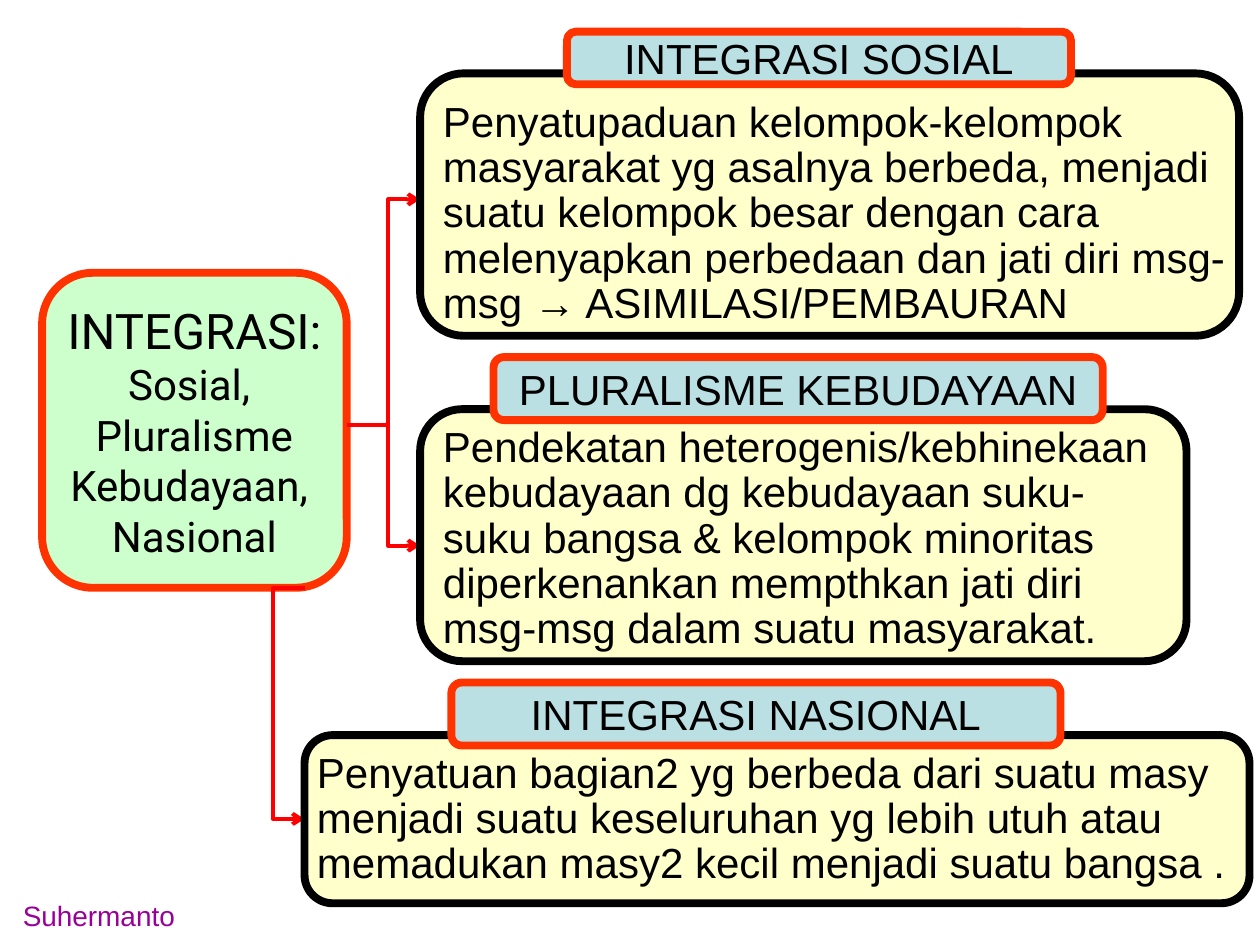
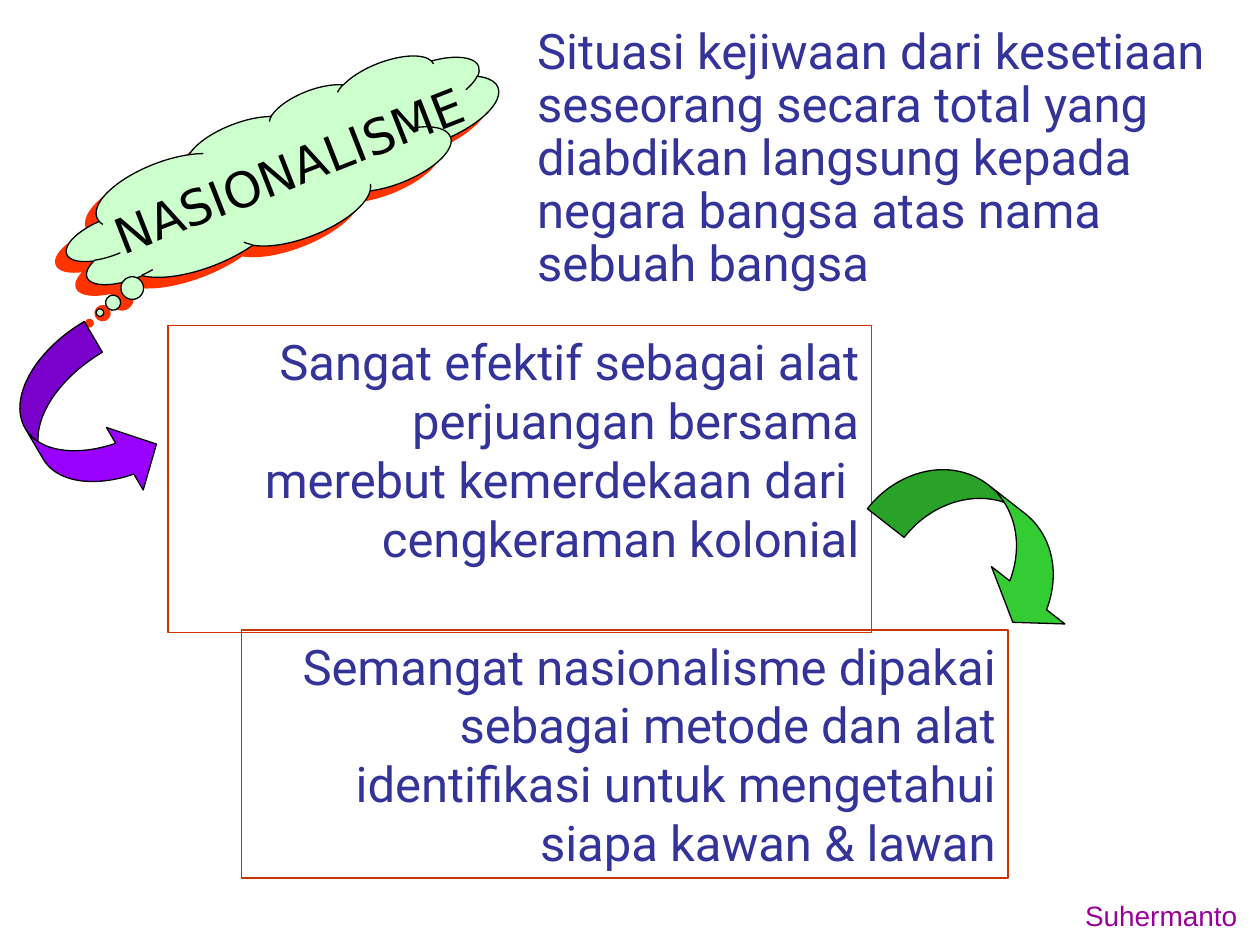
from lxml.etree import SubElement
from pptx import Presentation
from pptx.dml.color import RGBColor
from pptx.enum.shapes import MSO_CONNECTOR as Connector, MSO_SHAPE as Shape
from pptx.enum.text import MSO_ANCHOR as Anchor, PP_ALIGN as Align
from pptx.oxml.ns import qn
from pptx.util import Cm, Pt

COLORS = {
    "black": "000000", "mint": "CCFFCC", "orange": "FF3300", "red": "FF0000",
    "cream": "FFFFCC", "ice": "BBE0E3", "navy": "333399", "rust": "CC3300",
    "purple": "9900FF", "green": "33CC33", "author": "990099",
}


def color(name):
    return RGBColor.from_string(COLORS[name])


def write(shape, lines, sizes, font="Arial", ink="black", align=Align.LEFT,
          anchor=Anchor.TOP, wrap=True, spacing=None):
    frame = shape.text_frame
    frame.word_wrap = wrap
    frame.vertical_anchor = anchor
    frame.text = "\n".join(lines)
    for paragraph, size in zip(frame.paragraphs, sizes):
        paragraph.alignment = align
        paragraph.line_spacing = spacing
        paragraph.font.name = font
        paragraph.font.size = Pt(size)
        paragraph.font.color.rgb = color(ink)


def add_text(slide, box, text, size, **style):
    shape = slide.shapes.add_textbox(*map(Cm, box))
    write(shape, [text], [size], **style)
    return shape


def add_box(slide, kind, box, fill, line, width, adjustments=(), rotation=0):
    shape = slide.shapes.add_shape(kind, *map(Cm, box))
    shape.shadow.inherit = False
    shape.rotation = rotation
    for index, value in enumerate(adjustments):
        shape.adjustments[index] = value
    if fill:
        shape.fill.solid()
        shape.fill.fore_color.rgb = color(fill)
    else:
        shape.fill.background()
    shape.line.color.rgb = color(line)
    shape.line.width = Pt(width)
    return shape


def style_arrow_line(shape):
    shape.line.color.rgb = color("red")
    shape.line.width = Pt(2.25)


def add_bracket(slide, right, left, top, bottom, ends):
    builder = slide.shapes.build_freeform(Cm(right), Cm(top))
    corners = [(left, top), (left, bottom), (right, bottom)]
    builder.add_line_segments([(Cm(x), Cm(y)) for x, y in corners], close=False)
    shape = builder.convert_to_shape()
    shape.shadow.inherit = False
    shape.fill.background()
    style_arrow_line(shape)
    for end in ends:
        SubElement(shape.line._get_or_add_ln(), qn(f"a:{end}"), type="arrow")


def add_stem(slide, left, right, y):
    stem = slide.shapes.add_connector(Connector.STRAIGHT, Cm(left), Cm(y), Cm(right), Cm(y))
    style_arrow_line(stem)
    SubElement(stem._element.spPr, qn("a:effectLst"))


def add_definition(slide, body_box, title_box, text_box, title, text):
    add_box(slide, Shape.ROUNDED_RECTANGLE, body_box, "cream", "black", 4.5)
    heading = add_box(slide, Shape.ROUNDED_RECTANGLE, title_box, "ice", "orange", 4.5)
    write(heading, [title], [24], align=Align.CENTER, anchor=Anchor.MIDDLE, wrap=False)
    add_text(slide, text_box, text, 24, spacing=0.9)


def add_framed_text(slide, box, text):
    frame = add_box(slide, Shape.RECTANGLE, box, None, "rust", 0.75)
    write(frame, [text], [28], font="Roboto", ink="navy", align=Align.RIGHT)


def add_hard_shadow(shape):
    effects = shape._element.spPr.find(qn("a:effectLst"))
    shadow = SubElement(effects, qn("a:outerShdw"), dist=str(Pt(8.5)),
                        dir="8100000", algn="ctr", rotWithShape="0")
    SubElement(shadow, qn("a:srgbClr"), val=COLORS["orange"])


def add_author(slide, left, align):
    add_text(slide, (left, 17.99, 5.29, 1.06), "Suhermanto", 16, ink="author", align=align)


def build_integration(slide):
    topic = add_box(slide, Shape.ROUNDED_RECTANGLE, (0.85, 5.5, 6.14, 6.35),
                    "mint", "orange", 4.5)
    write(topic, ["INTEGRASI:", "Sosial, ", "Pluralisme", "Kebudayaan, ", "Nasional"],
          [28, 24, 24, 24, 24], font="Roboto", align=Align.CENTER,
          anchor=Anchor.MIDDLE, wrap=False)
    add_bracket(slide, 8.47, 7.83, 4.02, 11, ("headEnd", "tailEnd"))
    add_stem(slide, 6.99, 7.83, 8.57)
    add_bracket(slide, 6.14, 5.5, 11.85, 16.51, ("tailEnd",))
    definitions = [
        ((8.47, 1.48, 16.51, 5.29), (11.43, 0.64, 10.16, 1.06), (8.68, 1.91, 16.4, 4.83),
         "INTEGRASI SOSIAL",
         "Penyatupaduan kelompok-kelompok masyarakat yg asalnya berbeda, menjadi suatu "
         "kelompok besar dengan cara melenyapkan perbedaan dan jati diri msg-msg → "
         "ASIMILASI/PEMBAURAN"),
        ((8.47, 8.25, 15.45, 5.08), (9.95, 7.2, 12.28, 1.27), (8.68, 8.47, 14.82, 4.83),
         "PLURALISME KEBUDAYAAN",
         "Pendekatan heterogenis/kebhinekaan kebudayaan dg kebudayaan suku-suku bangsa & "
         "kelompok minoritas diperkenankan mempthkan jati diri msg-msg dalam suatu "
         "masyarakat."),
        ((6.14, 14.82, 19.05, 3.39), (9.1, 13.76, 12.28, 1.27), (6.14, 15.03, 18.84, 3),
         "INTEGRASI NASIONAL",
         "Penyatuan bagian2 yg berbeda dari suatu masy menjadi suatu keseluruhan yg lebih "
         "utuh atau memadukan masy2 kecil menjadi suatu bangsa ."),
    ]
    for definition in definitions:
        add_definition(slide, *definition)
    add_author(slide, 0.21, Align.LEFT)


def build_nationalism(slide):
    add_text(slide, (10.58, 0.42, 13.97, 6.65),
             "Situasi kejiwaan dari kesetiaan seseorang secara total yang diabdikan langsung "
             "kepada negara bangsa atas nama sebuah bangsa",
             28, font="Roboto", ink="navy", spacing=0.9)
    add_framed_text(slide, (3.39, 6.56, 14.18, 6.19),
                    "Sangat efektif sebagai alat perjuangan bersama\v"
                    "merebut kemerdekaan dari \vcengkeraman kolonial")
    add_framed_text(slide, (4.87, 12.7, 15.45, 5),
                    "Semangat nasionalisme dipakai sebagai metode dan alat identifikasi untuk "
                    "mengetahui siapa kawan & lawan")
    tilt = 338.6
    cloud = add_box(slide, Shape.CLOUD_CALLOUT, (1.06, 2.12, 9.31, 2.75),
                    "mint", "black", 0.75, (-0.48, 0.46), tilt)
    add_hard_shadow(cloud)
    label = add_text(slide, (1.67, 2.7, 8.3, 1.45), "NASIONALISME", 28,
                     font="DejaVu Sans", align=Align.CENTER, wrap=False)
    label.rotation = tilt
    add_box(slide, Shape.CURVED_DOWN_ARROW, (17.57, 10.01, 4.66, 1.88),
            "green", "black", 0.75, (0.5, 1, 0.33), 38)
    add_box(slide, Shape.CURVED_RIGHT_ARROW, (0.64, 6.77, 2.12, 3.6),
            "purple", "black", 0.75, (0.34, 0.69, 0.33), 329.5)
    add_author(slide, 19.9, Align.RIGHT)


def main():
    presentation = Presentation()
    presentation.slide_width = Cm(25.4)
    presentation.slide_height = Cm(19.05)
    for build in (build_integration, build_nationalism):
        build(presentation.slides.add_slide(presentation.slide_layouts[6]))
    presentation.save("out.pptx")


if __name__ == "__main__":
    main()
